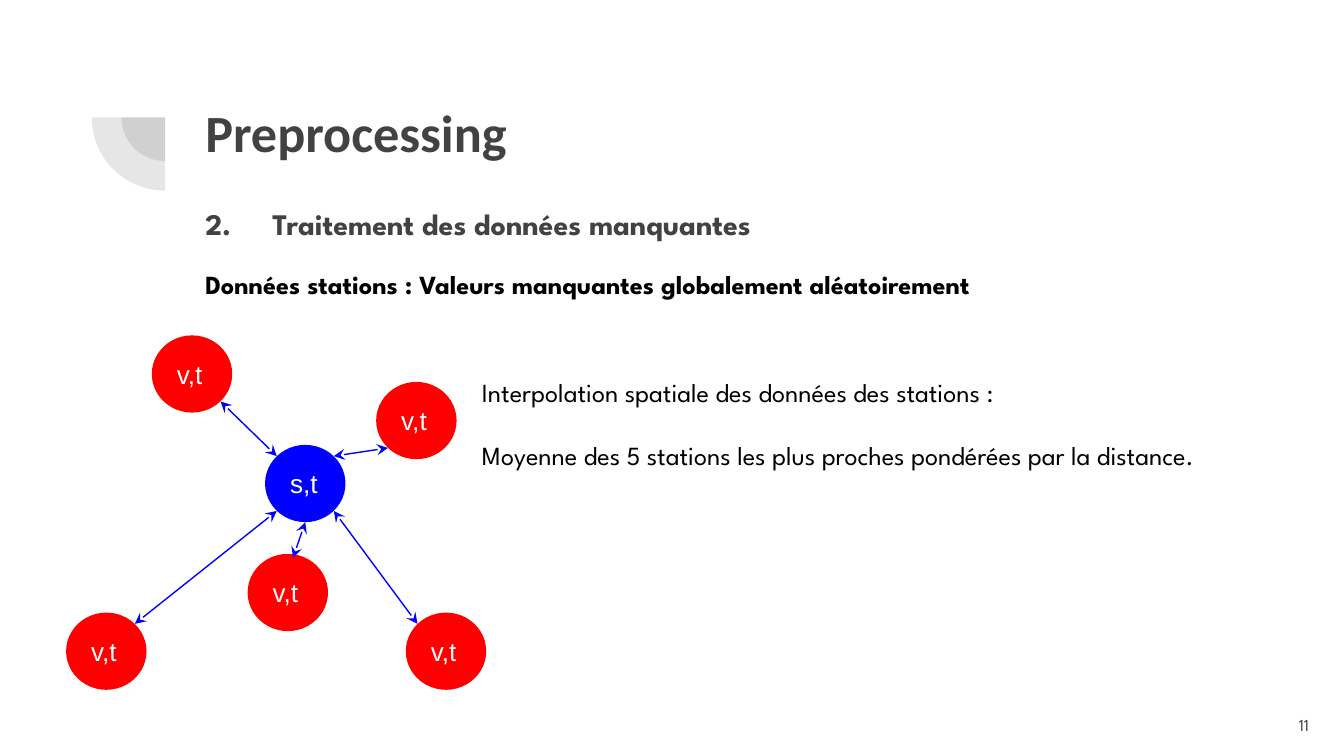
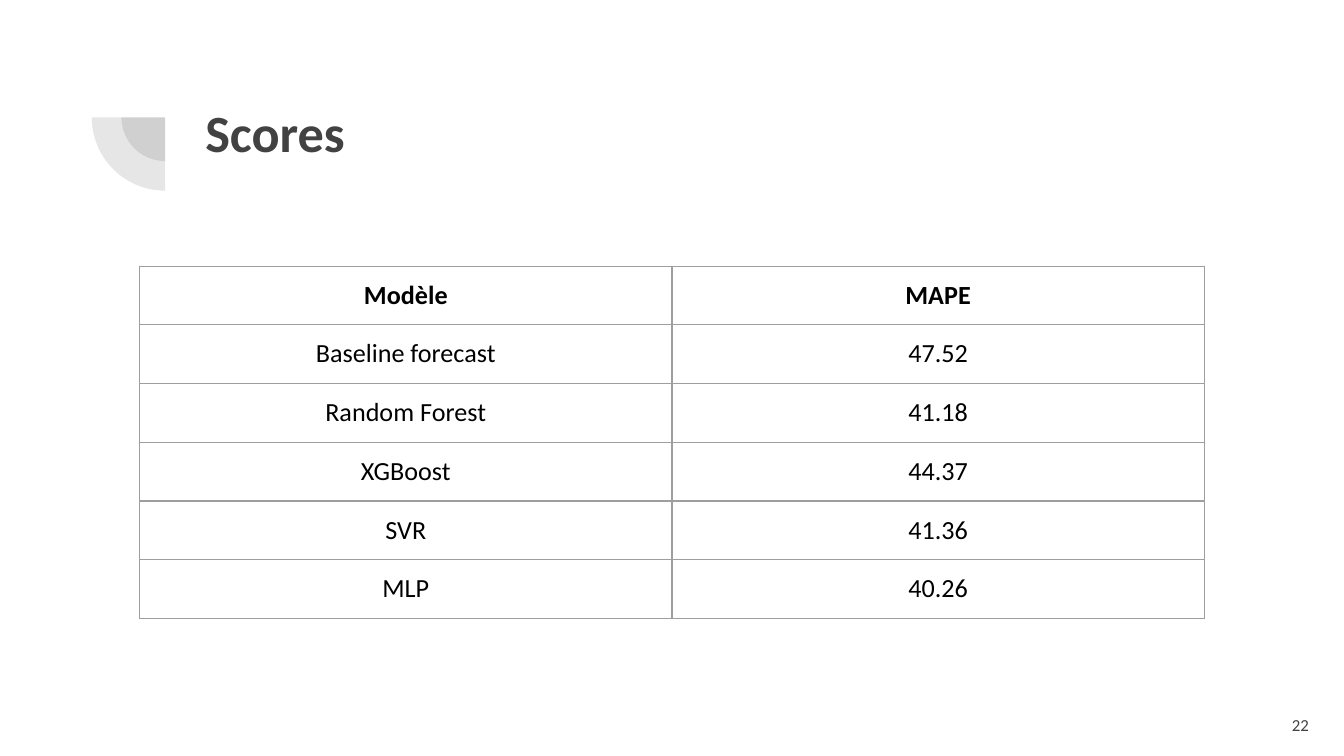
from dataclasses import dataclass
from itertools import product

from lxml.etree import SubElement
from pptx import Presentation
from pptx.dml.color import RGBColor
from pptx.enum.shapes import MSO_CONNECTOR, MSO_SHAPE
from pptx.enum.text import MSO_ANCHOR, MSO_AUTO_SIZE, PP_ALIGN
from pptx.oxml.ns import qn
from pptx.util import Cm, Pt


@dataclass(frozen=True)
class Theme:
    grey: RGBColor = RGBColor(0x42, 0x42, 0x42)
    black: RGBColor = RGBColor(0, 0, 0)
    white: RGBColor = RGBColor(255, 255, 255)
    red: RGBColor = RGBColor(255, 0, 0)
    blue: RGBColor = RGBColor(0, 0, 255)
    border: str = "9E9E9E"
    sans: str = "Calibri"
    display: str = "League Spartan"
    plain: str = "Arial"
    title: Pt = Pt(28)
    heading: Pt = Pt(16)
    body: Pt = Pt(14)
    number: Pt = Pt(9)
    line: Pt = Pt(0.75)
    inset: Cm = Cm(0.25)


theme = Theme()


def write(frame, lines, name, size, color, bold=False,
          align=PP_ALIGN.LEFT, anchor=MSO_ANCHOR.TOP):
    frame.text = "\n".join(lines)
    frame.word_wrap = True
    frame.auto_size = MSO_AUTO_SIZE.NONE
    frame.vertical_anchor = anchor
    frame.margin_left = frame.margin_right = theme.inset
    frame.margin_top = frame.margin_bottom = theme.inset
    for para in frame.paragraphs:
        para.alignment = align
        font = para.font
        font.name, font.size, font.bold = name, size, bold
        font.color.rgb = color


def add_text(page, left, top, width, height, lines, *style, **options):
    box = page.shapes.add_textbox(Cm(left), Cm(top), Cm(width), Cm(height))
    write(box.text_frame, lines, *style, **options)
    return box.text_frame


deck = Presentation()
deck.slide_width, deck.slide_height = Cm(25.4), Cm(14.29)

pages = []
for heading, number, number_font in [
    ("Preprocessing", "11", theme.display),
    ("Scores", "22", theme.sans),
]:
    page = deck.slides.add_slide(deck.slide_layouts[5])
    pages.append(page)
    for diameter in (1.65, 2.77):
        pie = page.shapes.add_shape(
            MSO_SHAPE.PIE, Cm(3.12 - diameter / 2), Cm(2.22 - diameter / 2),
            Cm(diameter), Cm(diameter))
        pie.adjustments[0], pie.adjustments[1] = 54, 108
        pie.shadow.inherit = False
        pie.line.fill.background()
        pie.fill.solid()
        pie.fill.fore_color.rgb = theme.grey
        tint = pie.fill._xPr.find(qn("a:solidFill"))[0]
        SubElement(tint, qn("a:alpha"), val="13000")

    title = page.shapes.title
    title.left, title.top = Cm(3.63), Cm(1.65)
    title.width, title.height = Cm(19.53), Cm(2.77)
    write(title.text_frame, [heading], theme.sans, theme.title, theme.grey, bold=True)
    add_text(page, 23.47, 13.16, 1.52, 1.09, [number], number_font, theme.number,
             theme.grey, align=PP_ALIGN.RIGHT, anchor=MSO_ANCHOR.MIDDLE)

preprocessing, scores = pages

section = add_text(preprocessing, 3.63, 3.53, 19.53, 1.83,
                   ["2. \tTraitement des données manquantes"],
                   theme.display, theme.heading, theme.grey, bold=True)
section.paragraphs[0].line_spacing = 1.15
section.paragraphs[0].space_after = Pt(12)
method = add_text(preprocessing, 8.86, 6.86, 17.42, 2.31,
                  ["Interpolation spatiale des données des stations :",
                   "Moyenne des 5 stations les plus proches pondérées par la distance."],
                  theme.display, theme.body, theme.black)
method.paragraphs[1].space_before = Pt(17)
add_text(preprocessing, 3.63, 4.83, 20.14, 1.12,
         ["Données stations : Valeurs manquantes globalement aléatoirement"],
         theme.display, theme.body, theme.black, bold=True)

radius_x, radius_y = 0.76, 0.73
diagonal = 0.71
hub = (5.77, 9.14)
neighbours = [
    ((3.63, 7.07), (-diagonal, -diagonal), (diagonal, diagonal)),
    ((2.01, 12.31), (-diagonal, diagonal), (diagonal, -diagonal)),
    ((8.43, 12.31), (diagonal, diagonal), (-diagonal, -diagonal)),
    ((5.44, 11.2), (0, 1), (0.13, -0.9)),
    ((7.87, 7.95), (diagonal, -diagonal), (-diagonal, diagonal)),
]

stations = [(place, "v,t", theme.red) for place, _, _ in neighbours]
for (x, y), label, color in stations + [(hub, "s,t", theme.blue)]:
    station = preprocessing.shapes.add_shape(
        MSO_SHAPE.OVAL, Cm(x - radius_x), Cm(y - radius_y),
        Cm(2 * radius_x), Cm(2 * radius_y))
    station.shadow.inherit = False
    station.fill.solid()
    station.fill.fore_color.rgb = color
    station.line.fill.background()
    write(station.text_frame, [label], theme.plain, theme.body, theme.white,
          anchor=MSO_ANCHOR.MIDDLE)

for place, hub_side, station_side in neighbours:
    ends = [Cm(center + side * radius)
            for point, sides in ((place, station_side), (hub, hub_side))
            for center, side, radius in zip(point, sides, (radius_x, radius_y))]
    arrow = preprocessing.shapes.add_connector(MSO_CONNECTOR.STRAIGHT, *ends)
    arrow.line.color.rgb = theme.blue
    arrow.line.width = theme.line
    for end in ("a:headEnd", "a:tailEnd"):
        SubElement(arrow.line._ln, qn(end), type="stealth")
    SubElement(arrow._element.spPr, qn("a:effectLst"))

results = [
    ("Modèle", "MAPE"),
    ("Baseline forecast", "47.52"),
    ("Random Forest", "41.18"),
    ("XGBoost", "44.37"),
    ("SVR", "41.36"),
    ("MLP", "40.26"),
]
row_height, column_width = 1.11, 10.06
table = scores.shapes.add_table(
    len(results), 2, Cm(2.64), Cm(5.03),
    Cm(2 * column_width), Cm(row_height * len(results))).table
table.first_row = table.horz_banding = False
for row, column in product(range(len(results)), range(2)):
    cell = table.cell(row, column)
    write(cell.text_frame, [results[row][column]], theme.sans, theme.body,
          theme.black, bold=row == 0, align=PP_ALIGN.CENTER)
    cell.margin_left = cell.margin_right = theme.inset
    cell.margin_top = cell.margin_bottom = theme.inset
    properties = cell._tc.get_or_add_tcPr()
    for side in ("a:lnL", "a:lnR", "a:lnT", "a:lnB"):
        edge = SubElement(properties, qn(side), w=str(theme.line))
        paint = SubElement(edge, qn("a:solidFill"))
        SubElement(paint, qn("a:srgbClr"), val=theme.border)
    cell.fill.background()

deck.save("out.pptx")
